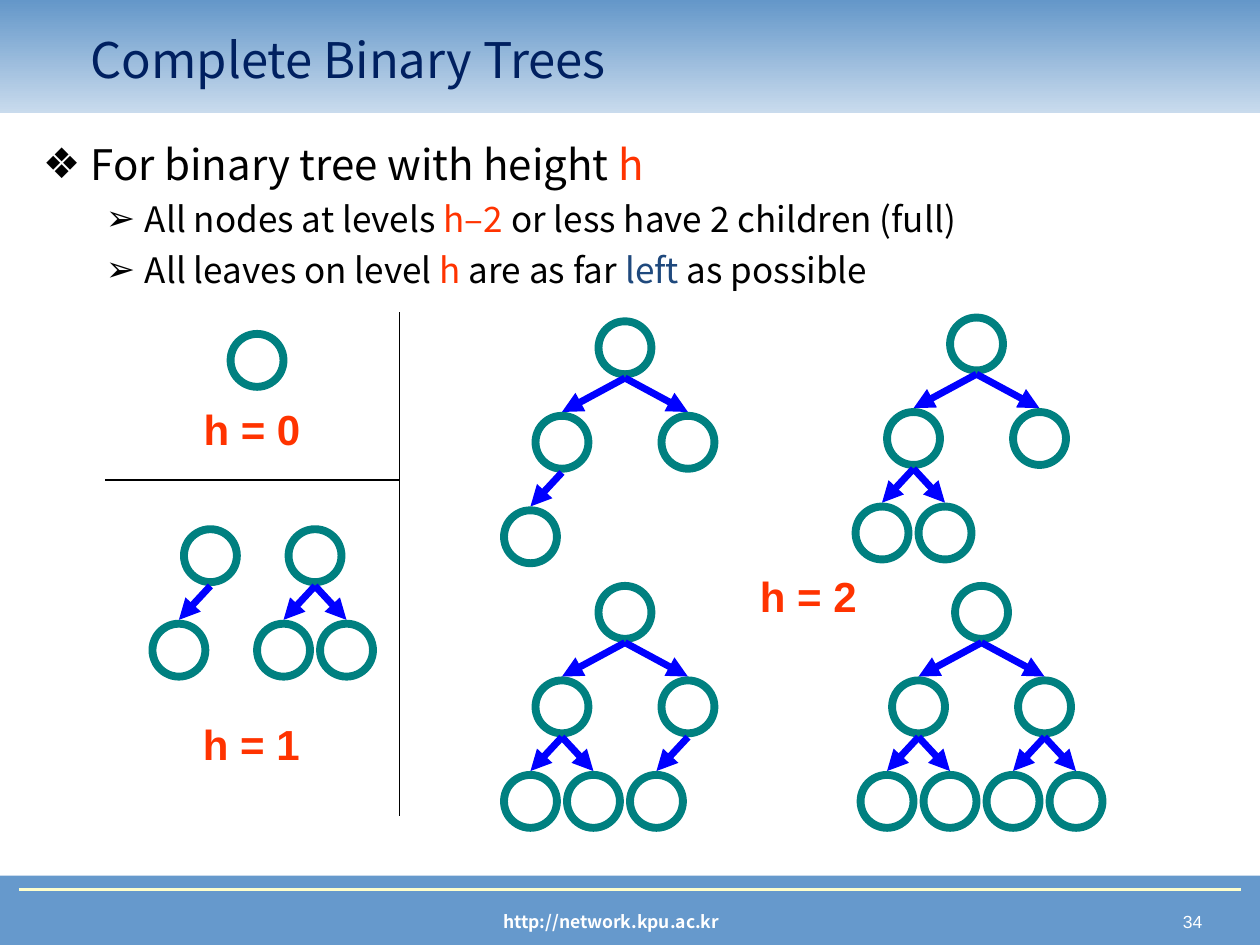
from lxml import etree
from pptx import Presentation
from pptx.dml.color import RGBColor
from pptx.enum.shapes import MSO_CONNECTOR, MSO_SHAPE
from pptx.enum.text import MSO_ANCHOR, MSO_AUTO_SIZE, PP_ALIGN
from pptx.oxml.ns import qn
from pptx.util import Inches, Pt

STRAIGHT = MSO_CONNECTOR.STRAIGHT
RECTANGLE, OVAL = MSO_SHAPE.RECTANGLE, MSO_SHAPE.OVAL
CENTER, LEFT, RIGHT = PP_ALIGN.CENTER, PP_ALIGN.LEFT, PP_ALIGN.RIGHT

COLORS = {
    "band": "6699CC", "header_top": "6497C9", "header_bottom": "C9DBED",
    "rule": "FFFFCC", "title": "002060", "text": "000000", "accent": "FF3300",
    "left": "1F497D", "node": "008080", "edge": "0000FF", "footer": "FFFFFF",
}
COLORS = {role: RGBColor.from_string(value) for role, value in COLORS.items()}
SANS, ARIAL = "Noto Sans CJK KR", "Arial"

prs = Presentation()
prs.slide_width, prs.slide_height = Inches(10), Inches(7.5)
slide = prs.slides.add_slide(prs.slide_layouts[1])
shapes = slide.shapes


def add_line(start, end, color, width, arrow=False):
    line = shapes.add_connector(STRAIGHT, *map(Inches, start + end))
    line.line.color.rgb = COLORS[color]
    line.line.width = Pt(width)
    if arrow:
        outline = line.line._get_or_add_ln()
        etree.SubElement(outline, qn("a:tailEnd"), type="triangle")
    etree.SubElement(line._element.spPr, qn("a:effectLst"))


def add_run(paragraph, text, size, color, font=SANS, bold=False):
    run = paragraph.add_run()
    run.text = text
    formats = {"name": font, "size": Pt(size), "bold": bold}
    for attribute, value in formats.items():
        setattr(run.font, attribute, value)
    run.font.color.rgb = COLORS[color]


# Header and footer bands
header = shapes.add_shape(RECTANGLE, 0, 0, Inches(10), Inches(0.9))
footer = shapes.add_shape(RECTANGLE, 0, Inches(6.95), Inches(10), Inches(0.55))
for band in (header, footer):
    band.shadow.inherit = False
    band.line.fill.background()
header.fill.gradient()
header.fill.gradient_angle = 270
for stop, role in zip(header.fill.gradient_stops, ("header_top", "header_bottom")):
    stop.color.rgb = COLORS[role]
footer.fill.solid()
footer.fill.fore_color.rgb = COLORS["band"]
add_line((0.15, 7.06), (9.85, 7.06), "rule", 1.5)

# Title and body, brought in front of the bands
title, body = shapes.title, slide.placeholders[1]
places = ((title, (0.62, 0.16, 8.44, 0.62), MSO_ANCHOR.MIDDLE),
          (body, (0.24, 1.05, 8.98, 4.5), MSO_ANCHOR.TOP))
for holder, place, anchor in places:
    holder.left, holder.top, holder.width, holder.height = map(Inches, place)
    holder.text_frame.vertical_anchor = anchor
    holder.text_frame.auto_size = MSO_AUTO_SIZE.NONE
    holder.element.getparent().append(holder.element)

heading = title.text_frame.paragraphs[0]
heading.alignment = LEFT
add_run(heading, "Complete Binary Trees", 28, "title")

LEVELS = [  # bullet, text size, left margin, hanging indent
    ("❖", 24, 0.38, 0.38),
    ("➢", 20, 0.81, 0.31),
]
points = [  # level, space before, runs
    (0, 0, [("For binary tree with height ", "text"), ("h", "accent")]),
    (1, 5, [("All nodes at levels ", "text"), ("h–2 ", "accent"),
            ("or less have 2 children (full)", "text")]),
    (1, 5, [("All leaves on level ", "text"), ("h", "accent"), (" are as far ", "text"),
            ("left", "left"), (" as possible", "text")]),
]
for index, (level, space, runs) in enumerate(points):
    frame = body.text_frame
    point = frame.add_paragraph() if index else frame.paragraphs[0]
    bullet, size, margin, hanging = LEVELS[level]
    properties = point._p.get_or_add_pPr()
    properties.set("marL", str(Inches(margin)))
    properties.set("indent", str(-Inches(hanging)))
    bullet_color = etree.SubElement(properties, qn("a:buClr"))
    etree.SubElement(bullet_color, qn("a:srgbClr"), val=str(COLORS["text"]))
    etree.SubElement(properties, qn("a:buChar"), char=bullet)
    point.level = level
    point.space_before = Pt(space)
    for text, color in runs:
        add_run(point, text, size, color)

# Dividers between the heights
add_line((3.17, 2.48), (3.17, 6.48), "text", 1)
add_line((3.17, 3.81), (0.83, 3.81), "text", 1)

# Complete trees: root centre, root top, number of nodes in level order
NODE, LEVEL_STEP, LEAF_OFFSET = 0.42, 0.75, 0.25
EDGE_START, EDGE_END = 0.45, -0.03
trees = [
    (2.04, 2.65, 1), (1.67, 4.2, 2), (2.5, 4.2, 3),
    (4.96, 2.55, 4), (7.75, 2.52, 5), (4.96, 4.65, 6), (7.79, 4.65, 7),
]
for root_x, root_top, count in trees:
    height = count.bit_length() - 1
    centers = {}
    for number in range(1, count + 1):
        depth = number.bit_length() - 1
        top = root_top + depth * LEVEL_STEP
        if number == 1:
            centers[number] = root_x
        else:
            parent_x = centers[number // 2]
            offset = LEAF_OFFSET * 2 ** (height - depth)
            centers[number] = parent_x + (offset if number % 2 else -offset)
            add_line((parent_x, top - LEVEL_STEP + EDGE_START),
                     (centers[number], top + EDGE_END), "edge", 4, arrow=True)
        node = shapes.add_shape(OVAL, Inches(centers[number] - NODE / 2), Inches(top),
                                Inches(NODE), Inches(NODE))
        node.shadow.inherit = False
        node.fill.background()
        node.line.color.rgb = COLORS["node"]
        node.line.width = Pt(4.5)

# Height labels and footer texts
labels = [
    ("h = 0", (1, 3.15, 2, 0.5), CENTER, 24, "accent", ARIAL, True),
    ("h = 1", (0.83, 5.65, 2.33, 0.5), CENTER, 24, "accent", ARIAL, True),
    ("h = 2", (5.25, 4.48, 2.33, 0.5), CENTER, 24, "accent", ARIAL, True),
    ("http://network.kpu.ac.kr", (2.27, 7.18, 5.16, 0.27), CENTER, 10, "footer", SANS, True),
    ("34", (7.42, 7.18, 2.22, 0.27), RIGHT, 10, "footer", ARIAL, False),
]
for text, place, alignment, size, color, font, bold in labels:
    label = shapes.add_textbox(*map(Inches, place)).text_frame
    label.word_wrap = True
    label.paragraphs[0].alignment = alignment
    add_run(label.paragraphs[0], text, size, color, font, bold)

prs.save("out.pptx")
